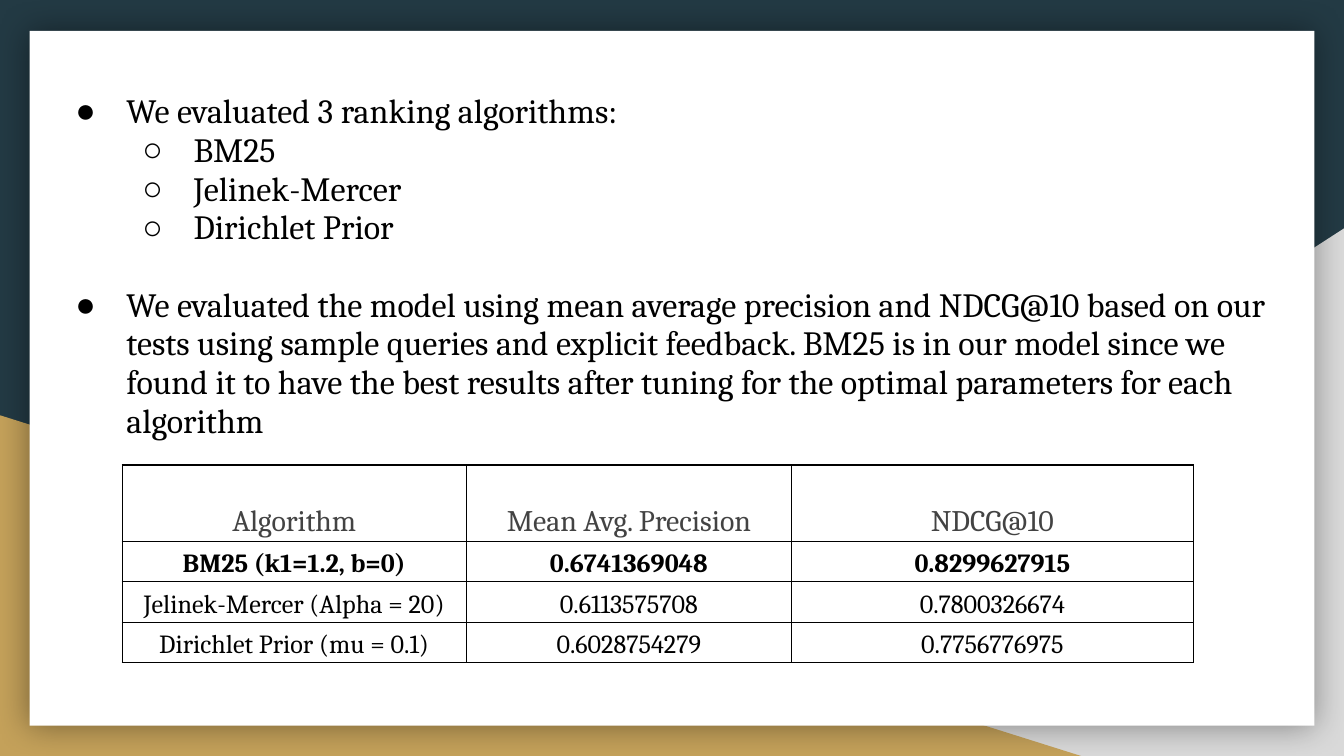
from dataclasses import dataclass

from lxml.etree import SubElement
from pptx import Presentation
from pptx.dml.color import RGBColor
from pptx.enum.shapes import MSO_SHAPE
from pptx.enum.text import MSO_ANCHOR, MSO_AUTO_SIZE, PP_ALIGN
from pptx.oxml import parse_xml
from pptx.oxml.ns import nsdecls, qn
from pptx.util import Inches, Pt


@dataclass(frozen=True)
class Theme:
    """Colours, font and type sizes of the slide."""
    font: str = "Cambria"
    back: str = "233A44"
    grey: str = "D9D9D9"
    gold: str = "C4A15A"
    paper: str = "FFFFFF"
    ink: str = "000000"
    header: str = "434343"
    body_size: float = 18.2
    header_size: float = 16
    cell_size: float = 14
    border: float = 0.75


THEME = Theme()

BULLETS = [
    (0, "We evaluated 3 ranking algorithms:", 0),
    (1, "BM25", 0),
    (1, "Jelinek-Mercer", 0),
    (1, "Dirichlet Prior", 0),
    (0, "We evaluated the model using mean average precision and NDCG@10 based on our "
        "tests using sample queries and explicit feedback. BM25 is in our model since we "
        "found it to have the best results after tuning for the optimal parameters for "
        "each algorithm", 20.7),
]

RESULTS = [
    ("Algorithm", "Mean Avg. Precision", "NDCG@10"),
    ("BM25 (k1=1.2, b=0)", "0.6741369048", "0.8299627915"),
    ("Jelinek-Mercer (Alpha = 20)", "0.6113575708", "0.7800326674"),
    ("Dirichlet Prior (mu = 0.1)", "0.6028754279", "0.7756776975"),
]


def add_run(p, text, size, color, bold=False):
    """Add a run of text in the theme font."""
    r = p.add_run()
    r.text = text
    r.font.name = THEME.font
    r.font.size = Pt(size)
    r.font.bold = bold
    r.font.color.rgb = RGBColor.from_string(color)


def add_panel(s, kind, box, color):
    """Add a filled shape without an outline or shadow."""
    sp = s.shapes.add_shape(kind, *map(Inches, box))
    sp.shadow.inherit = False
    sp.fill.solid()
    sp.fill.fore_color.rgb = RGBColor.from_string(color)
    sp.line.fill.background()
    return sp


def add_glow(sp):
    """Give a shape a soft shadow on all sides."""
    effects = sp._element.spPr.find(qn("a:effectLst"))
    effects.append(parse_xml(
        f'<a:outerShdw {nsdecls("a")} blurRad="{Pt(18)}" dist="0" dir="0" algn="ctr" '
        f'rotWithShape="0"><a:srgbClr val="{THEME.ink}"><a:alpha val="40000"/>'
        '</a:srgbClr></a:outerShdw>'))


def add_backdrop(s):
    """Draw the background, corner triangles and paper panel."""
    s.background.fill.solid()
    s.background.fill.fore_color.rgb = RGBColor.from_string(THEME.back)
    right = add_panel(s, MSO_SHAPE.RIGHT_TRIANGLE, (3.92, 1.7, 6.08, 3.93), THEME.grey)
    right._element.spPr.xfrm.set("flipH", "1")
    add_panel(s, MSO_SHAPE.RIGHT_TRIANGLE, (0, 3.09, 8.06, 2.54), THEME.gold)
    add_glow(add_panel(s, MSO_SHAPE.RECTANGLE, (0.22, 0.23, 9.56, 5.17), THEME.paper))


def set_bullet(p, level):
    """Set the indent and bullet character for a list level."""
    pPr = p._p.get_or_add_pPr()
    pPr.set("marL", str(Inches(0.5 * (level + 1))))
    pPr.set("indent", str(Inches(-0.38)))
    color = SubElement(pPr, qn("a:buClr"))
    SubElement(color, qn("a:srgbClr"), val=THEME.ink)
    SubElement(pPr, qn("a:buChar"), char="●○"[level])


def fill_body(s, sp, box):
    """Place the body placeholder in front and write the list."""
    s.shapes._spTree.append(sp._element)
    sp.left, sp.top, sp.width, sp.height = map(Inches, box)
    tf = sp.text_frame
    tf.word_wrap = True
    tf.auto_size = MSO_AUTO_SIZE.NONE
    tf.vertical_anchor = MSO_ANCHOR.TOP
    tf.margin_left = tf.margin_right = tf.margin_top = tf.margin_bottom = Inches(0.1)
    for i, (level, text, gap) in enumerate(BULLETS):
        p = tf.add_paragraph() if i else tf.paragraphs[0]
        p.level = level
        p.line_spacing = 0.95
        p.space_before, p.space_after = Pt(gap), Pt(0)
        set_bullet(p, level)
        add_run(p, text, THEME.body_size, THEME.ink)


def set_borders(cell):
    """Draw a thin line on each side of a cell."""
    tcPr = cell._tc.get_or_add_tcPr()
    for i, side in enumerate(("lnL", "lnR", "lnT", "lnB")):
        tcPr.insert(i, parse_xml(
            f'<a:{side} {nsdecls("a")} w="{Pt(THEME.border)}"><a:solidFill>'
            f'<a:srgbClr val="{THEME.ink}"/></a:solidFill></a:{side}>'))


def fill_cell(cell, text, size, color, bold):
    """Write one centred, bordered table cell."""
    cell.fill.background()
    cell.vertical_anchor = MSO_ANCHOR.BOTTOM
    cell.margin_left = cell.margin_right = Inches(0.03)
    cell.margin_top = cell.margin_bottom = Inches(0.02)
    p = cell.text_frame.paragraphs[0]
    p.alignment = PP_ALIGN.CENTER
    p.line_spacing = 1.15
    add_run(p, text, size, color, bold)
    set_borders(cell)


def add_results(s, left, top, widths, heights):
    """Add the results table with the best algorithm in bold."""
    table = s.shapes.add_table(
        len(heights), len(widths), Inches(left), Inches(top),
        Inches(sum(widths)), Inches(sum(heights))).table
    table.first_row = table.horz_banding = False
    for column, width in zip(table.columns, widths):
        column.width = Inches(width)
    for i, (row, height, texts) in enumerate(zip(table.rows, heights, RESULTS)):
        row.height = Inches(height)
        size, color = ((THEME.cell_size, THEME.ink) if i
                       else (THEME.header_size, THEME.header))
        for cell, text in zip(row.cells, texts):
            fill_cell(cell, text, size, color, bold=i == 1)


def main():
    """Build and save the slide."""
    prs = Presentation()
    prs.slide_width = Inches(10)
    prs.slide_height = prs.slide_width * 9 // 16
    s = prs.slides.add_slide(prs.slide_layouts[1])
    title, body = s.placeholders
    s.shapes._spTree.remove(title._element)
    add_backdrop(s)
    fill_body(s, body, (0.34, 0.59, 9.32, 2.69))
    add_results(s, 0.91, 3.46, (2.56, 2.42, 2.99), (0.57, 0.3, 0.3, 0.3))
    prs.save("out.pptx")


if __name__ == "__main__":
    main()
